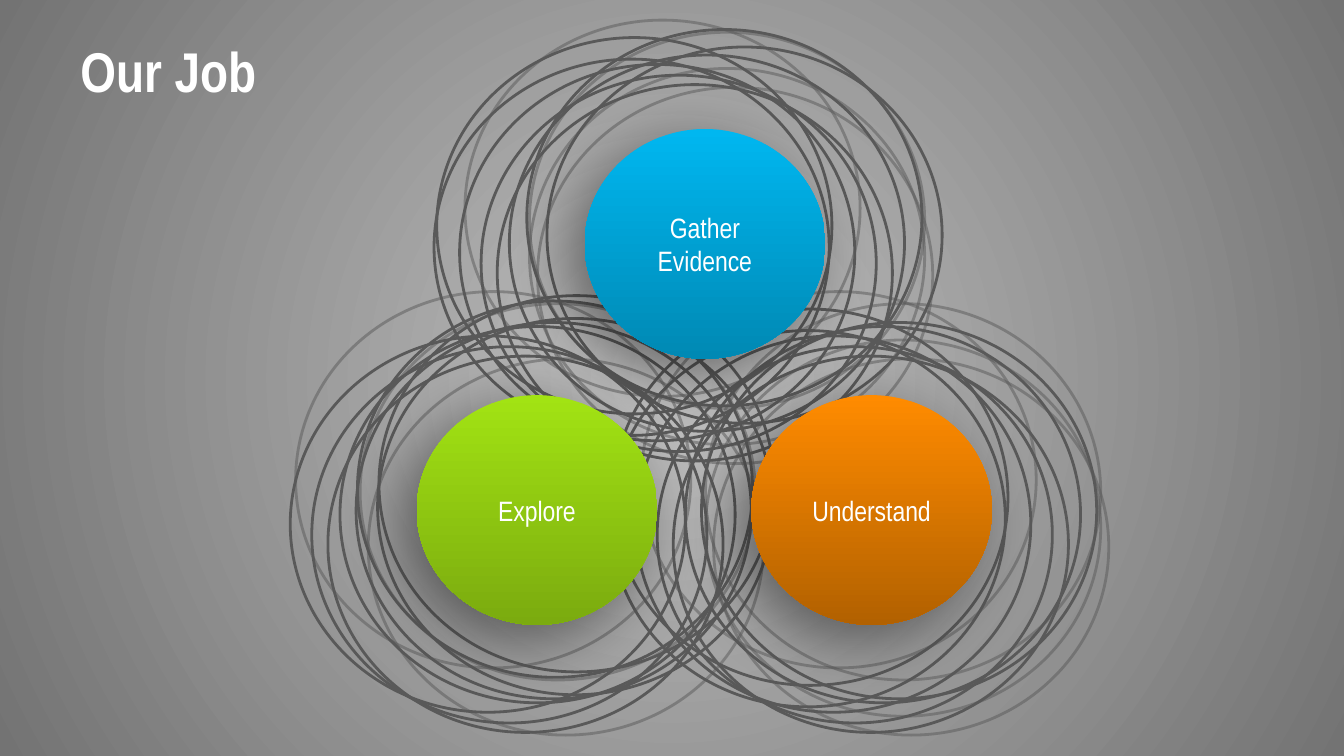
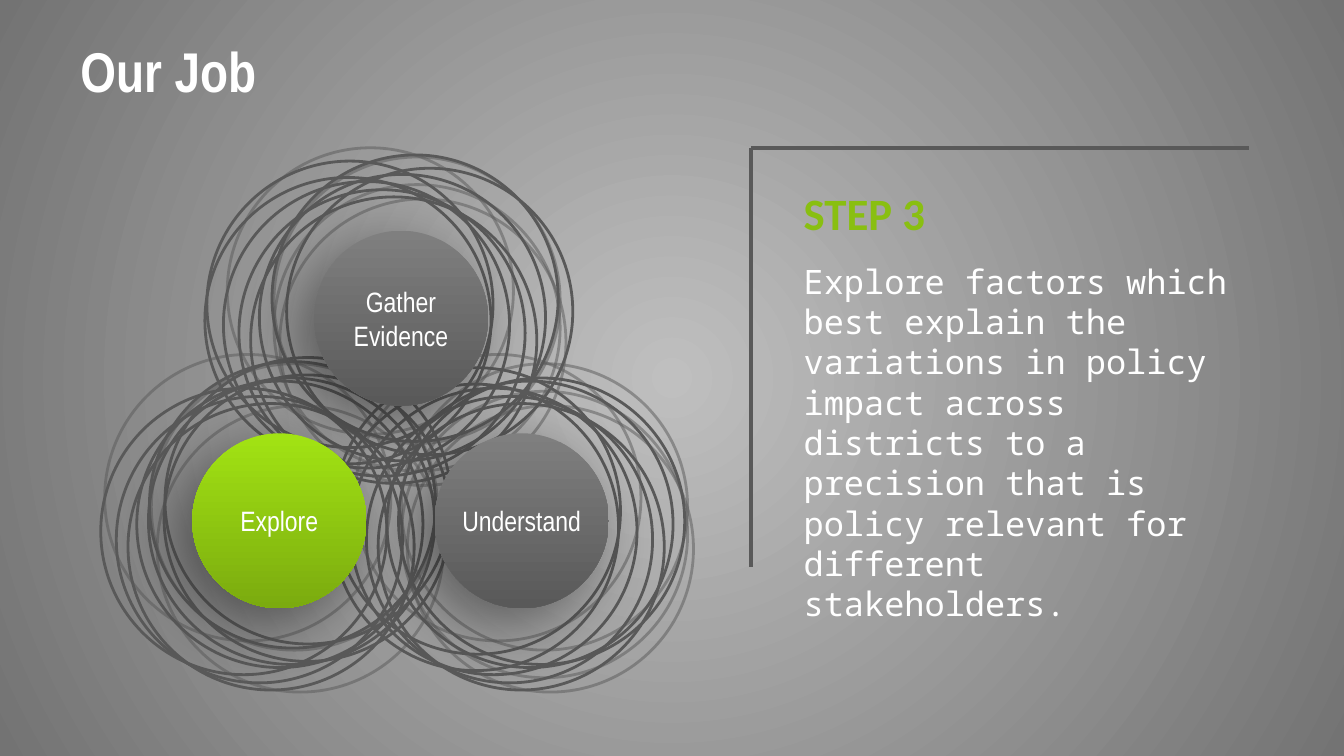
from collections import namedtuple

from lxml import etree
from pptx import Presentation
from pptx import util as u
from pptx.dml.color import RGBColor
from pptx.enum import shapes, text
from pptx.oxml import ns

Box = namedtuple("Box", "left top width height")

WHITE = RGBColor(0xFF, 0xFF, 0xFF)
RING_GRAY = RGBColor(0x59, 0x59, 0x59)
STEP_GREEN = RGBColor(0x89, 0xBF, 0x11)
BACKDROP = (RGBColor(0xBF, 0xBF, 0xBF), RGBColor(0x73, 0x73, 0x73))
BLUE = (RGBColor(0x00, 0xB7, 0xF0), RGBColor(0x00, 0x89, 0xB4))
GREEN = (RGBColor(0xA2, 0xE3, 0x13), RGBColor(0x7B, 0xAB, 0x0F))
ORANGE = (RGBColor(0xFF, 0x8B, 0x00), RGBColor(0xB2, 0x61, 0x00))
GRAY = (RGBColor(0x7F, 0x7F, 0x7F), RING_GRAY)

HEAD_FONT, STEP_FONT, BODY_FONT = "Arial Narrow", "Calibri", "Noto Sans Mono"

# The diagram is laid out on this grid and scaled to the box it is given
GRID_WIDTH, GRID_HEIGHT = 6.09, 5.32
RING_SIZE = (2.94, 2.8)
DISC_SIZE = (1.79, 1.71)

# Ring offsets inside a cluster: x, y, faded
COMMON_RINGS = [
    (0.56, 0.26, False), (0.23, 0, True), (0.71, 0.09, True),
    (0.47, 0.48, False), (0.35, 0.41, False), (0.19, 0.33, False),
    (0.77, 0.5, True),
]
FADED_RIGHT = (0.71, 0.36, True)
HIGH_RIGHT = (0.69, 0.07, False)
LOW_RIGHT = (0.68, 0.23, False)
FAR_RIGHT = (0.84, 0.2, False)
FAR_LEFT = [(0, 0.29, False), (0.02, 0.13, False)]

# Cluster origins with the rings found only there
CLUSTERS = [
    (1.07, 0, [FADED_RIGHT, HIGH_RIGHT, *FAR_LEFT, FAR_RIGHT]),
    (2.38, 2.02, [FADED_RIGHT, LOW_RIGHT, *FAR_LEFT]),
    (-0.19, 2.02, [LOW_RIGHT, HIGH_RIGHT, FAR_RIGHT, (0.85, 0.03, False)]),
]
DISCS = [
    ("Gather Evidence", 2.19, 0.81),
    ("Explore", 0.94, 2.79),
    ("Understand", 3.43, 2.79),
]


def add_xml(parent, tag, **attributes):
    return etree.SubElement(parent, ns.qn(tag), attributes)


def set_gradient(fill, colors):
    fill.gradient()
    for stop, color in zip(fill.gradient_stops, colors):
        stop.color.rgb = color


def paint_background(master):
    """Radial gradient, light in the middle, shared by all slides."""
    set_gradient(master.background.fill, BACKDROP)
    gradient = next(master.element.iter(ns.qn("a:gradFill")))
    linear = gradient.find(ns.qn("a:lin"))
    radial = etree.Element(ns.qn("a:path"), {"path": "circle"})
    add_xml(radial, "a:fillToRect", l="50000", t="50000", r="50000", b="50000")
    gradient.replace(linear, radial)


def write(frame, words, size, font, color=WHITE, bold=False, inset=(0, 0),
          anchor=text.MSO_ANCHOR.MIDDLE, align=text.PP_ALIGN.LEFT):
    frame.text = words
    frame.word_wrap = True
    frame.vertical_anchor = anchor
    frame.margin_left = frame.margin_right = u.Inches(inset[0])
    frame.margin_top = frame.margin_bottom = u.Inches(inset[1])
    para = frame.paragraphs[0]
    para.alignment = align
    span = para.runs[0]
    span.font.size = u.Pt(size)
    span.font.name = font
    span.font.bold = bold
    span.font.color.rgb = color


def add_text(page, box, words, size, font, **style):
    holder = page.shapes.add_textbox(*map(u.Inches, box))
    write(holder.text_frame, words, size, font, **style)


def add_title(page, words):
    add_text(page, Box(0.5, 0.23, 9, 0.58), words, 30, HEAD_FONT,
             bold=True, inset=(0.1, 0.05))


def add_oval(group, box):
    oval = group.shapes.add_shape(shapes.MSO_SHAPE.OVAL, *map(u.Inches, box))
    oval.shadow.inherit = False
    return oval


def add_ring(group, box, faded):
    ring = add_oval(group, box)
    ring.fill.background()
    ring.line.color.rgb = RING_GRAY
    ring.line.width = u.Pt(1.5)
    if faded:
        color = next(ring.element.spPr.iter(ns.qn("a:srgbClr")))
        add_xml(color, "a:alpha", val="50000")


def add_disc(group, box, label, colors):
    disc = add_oval(group, box)
    set_gradient(disc.fill, colors)
    disc.fill.gradient_angle = 270
    disc.line.fill.background()
    # Soft shadow to the lower left
    effects = disc.element.spPr.find(ns.qn("a:effectLst"))
    shadow = add_xml(effects, "a:outerShdw", blurRad=str(u.Pt(34)),
                     dist=str(u.Pt(12)), dir=str(135 * 60000),
                     algn="ctr", rotWithShape="0")
    color = add_xml(shadow, "a:srgbClr", val="000000")
    add_xml(color, "a:alpha", val="44000")
    write(disc.text_frame, label, 15, HEAD_FONT, align=text.PP_ALIGN.CENTER)


def add_diagram(page, box, disc_colors):
    """Three clusters of rings with a labelled disc in each."""
    scale_x = box.width / GRID_WIDTH
    scale_y = box.height / GRID_HEIGHT

    def place(x, y, size):
        return Box(box.left + x * scale_x, box.top + y * scale_y,
                   size[0] * scale_x, size[1] * scale_y)

    group = page.shapes.add_group_shape()
    for left, top, extra_rings in CLUSTERS:
        for x, y, faded in COMMON_RINGS + extra_rings:
            add_ring(group, place(left + x, top + y, RING_SIZE), faded)
    for (label, x, y), colors in zip(DISCS, disc_colors):
        add_disc(group, place(x, y, DISC_SIZE), label, colors)


def add_step(page, box, heading, body):
    """Heading and text inside a corner of two lines."""
    text_left = box.left + 0.32
    add_text(page, Box(text_left, box.top + 0.8, 3.44, 2.32), body, 18,
             BODY_FONT, inset=(0.07, 0.04), anchor=text.MSO_ANCHOR.TOP)
    add_text(page, Box(text_left, box.top + 0.24, 3.12, 0.48), heading, 24,
             STEP_FONT, color=STEP_GREEN, bold=True, inset=(0.07, 0.04),
             anchor=text.MSO_ANCHOR.BOTTOM)
    corner = page.shapes.add_group_shape()
    ends = [(box.left, box.top + box.height), (box.left + box.width, box.top)]
    for end in ends:
        edge = corner.shapes.add_connector(
            shapes.MSO_CONNECTOR.STRAIGHT,
            *map(u.Inches, (box.left, box.top, *end)))
        edge.line.color.rgb = RING_GRAY
        edge.line.width = u.Pt(2.25)
        add_xml(edge.element.spPr, "a:effectLst")


def build_overview(page):
    add_diagram(page, Box(2.16, 0.15, 6.09, 5.32), [BLUE, GREEN, ORANGE])
    add_title(page, "Our Job")


def build_explore_step(page):
    add_title(page, "Our Job")
    add_diagram(page, Box(0.75, 1.1, 4.41, 4.05), [GRAY, GREEN, GRAY])
    add_step(page, Box(5.59, 1.1, 3.7, 3.12), "STEP 3",
             "Explore factors which best explain the variations in policy "
             "impact across districts to a precision that is policy relevant "
             "for different stakeholders.")


def main():
    deck = Presentation()
    # Widescreen, 16:9
    deck.slide_width = u.Inches(10)
    deck.slide_height = u.Inches(10 * 9 / 16)
    paint_background(deck.slide_master)
    for build in (build_overview, build_explore_step):
        build(deck.slides.add_slide(deck.slide_layouts[6]))
    deck.save("out.pptx")


if __name__ == "__main__":
    main()
